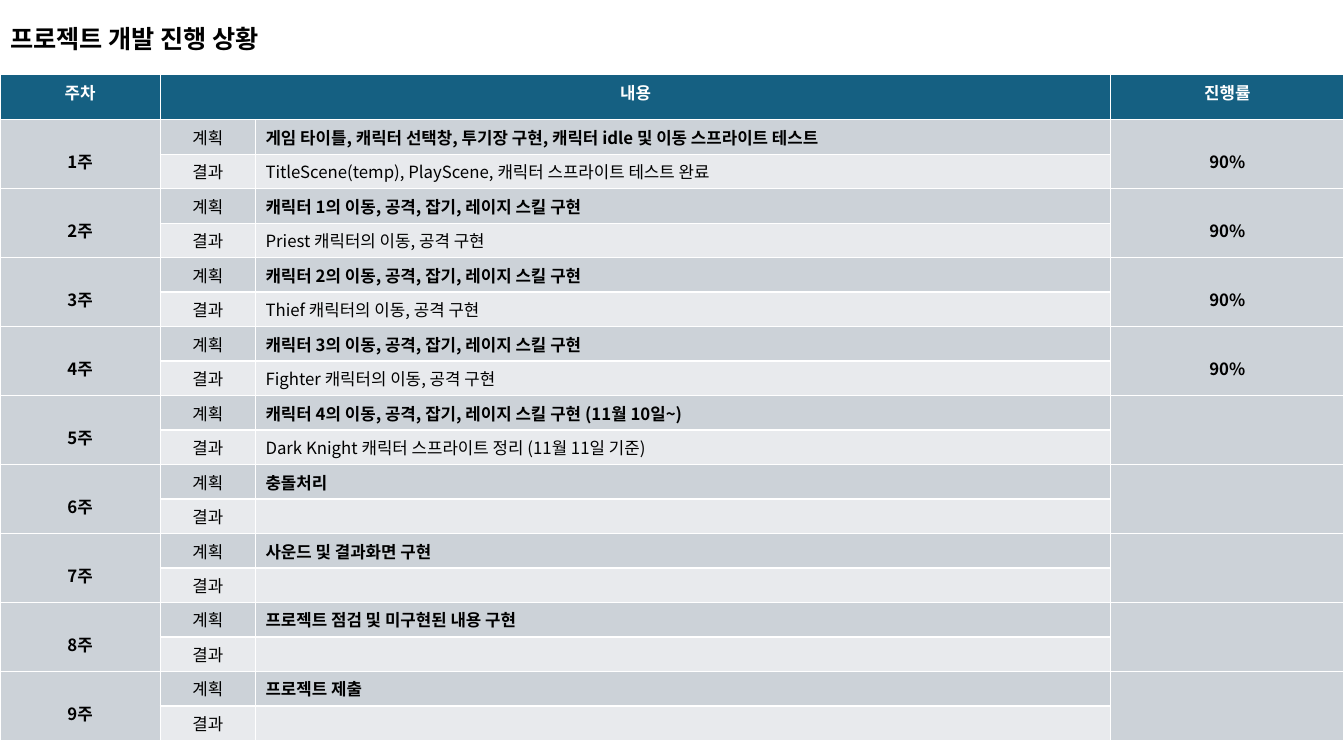
from pptx import Presentation
from pptx import util as u
from pptx.dml.color import RGBColor
from pptx.enum import text
from pptx.oxml.ns import qn
from lxml import etree

FONT = "Noto Sans CJK KR"
BLACK = RGBColor(0x00, 0x00, 0x00)
WHITE = RGBColor(0xFF, 0xFF, 0xFF)
HEADER_BLUE = RGBColor(0x15, 0x60, 0x82)
PLAN_GRAY = RGBColor(0xCC, 0xD2, 0xD8)
RESULT_GRAY = RGBColor(0xE8, 0xEA, 0xED)

SLIDE_WIDTH, SLIDE_HEIGHT = 960, 540
COLUMN_WIDTHS = [114.5, 68, 611, 166.5]
HEADER_HEIGHT, ROW_HEIGHT = 32, 24.5
MERGED_TOP_MARGIN = 14
BODY_SIZE = 12

# Plan, result and progress of each week
WEEKS = [
    ("게임 타이틀, 캐릭터 선택창, 투기장 구현, 캐릭터 idle 및 이동 스프라이트 테스트",
     "TitleScene(temp), PlayScene, 캐릭터 스프라이트 테스트 완료", "90%"),
    ("캐릭터 1의 이동, 공격, 잡기, 레이지 스킬 구현", "Priest 캐릭터의 이동, 공격 구현", "90%"),
    ("캐릭터 2의 이동, 공격, 잡기, 레이지 스킬 구현", "Thief 캐릭터의 이동, 공격 구현", "90%"),
    ("캐릭터 3의 이동, 공격, 잡기, 레이지 스킬 구현", "Fighter 캐릭터의 이동, 공격 구현", "90%"),
    ("캐릭터 4의 이동, 공격, 잡기, 레이지 스킬 구현 (11월 10일~)",
     "Dark Knight 캐릭터 스프라이트 정리 (11월 11일 기준)", ""),
    ("충돌처리", "", ""),
    ("사운드 및 결과화면 구현", "", ""),
    ("프로젝트 점검 및 미구현된 내용 구현", "", ""),
    ("프로젝트 제출", "", ""),
]


def format_runs(paragraph, size, color, bold):
    for run in paragraph.runs:
        font = run.font
        font.name, font.size, font.bold = FONT, u.Pt(size), bold
        font.color.rgb = color
        # Hangul takes the East Asian typeface
        east_asian = etree.SubElement(run._r.get_or_add_rPr(), qn("a:ea"))
        east_asian.set("typeface", FONT)


def fill_cell(cell, content, fill, color=BLACK, bold=False, centered=True):
    cell.fill.solid()
    cell.fill.fore_color.rgb = fill
    paragraph = cell.text_frame.paragraphs[0]
    paragraph.text = content
    paragraph.alignment = text.PP_ALIGN.CENTER if centered else text.PP_ALIGN.LEFT
    format_runs(paragraph, BODY_SIZE, color, bold)
    # Keeps empty cells as low as filled ones
    end_properties = etree.SubElement(paragraph._p, qn("a:endParaRPr"))
    end_properties.set("sz", str(BODY_SIZE * 100))


def add_title(slide, left, top, width, height):
    title = slide.shapes.title
    title.left, title.top = u.Pt(left), u.Pt(top)
    title.width, title.height = u.Pt(width), u.Pt(height)
    frame = title.text_frame
    frame.text = "프로젝트 개발 진행 상황"
    frame.auto_size = text.MSO_AUTO_SIZE.NONE
    frame.vertical_anchor = text.MSO_ANCHOR.MIDDLE
    paragraph = frame.paragraphs[0]
    paragraph.alignment = text.PP_ALIGN.LEFT
    paragraph.line_spacing = 0.9
    format_runs(paragraph, 18, BLACK, True)


def add_week(table, week, plan, result, progress):
    plan_row = 2 * week - 1
    result_row = plan_row + 1
    # Week and progress span both rows
    for column, content in ((0, f"{week}주"), (3, progress)):
        cell = table.cell(plan_row, column)
        fill_cell(table.cell(result_row, column), "", PLAN_GRAY)
        cell.merge(table.cell(result_row, column))
        fill_cell(cell, content, PLAN_GRAY, bold=True)
        cell.vertical_anchor = text.MSO_ANCHOR.MIDDLE
        cell.margin_top = u.Pt(MERGED_TOP_MARGIN)
    # Plan above result
    for row, label, content, fill in ((plan_row, "계획", plan, PLAN_GRAY),
                                      (result_row, "결과", result, RESULT_GRAY)):
        fill_cell(table.cell(row, 1), label, fill)
        fill_cell(table.cell(row, 2), content, fill, bold=row == plan_row, centered=False)


def add_schedule(slide, left, top, width):
    row_count = 1 + 2 * len(WEEKS)
    height = HEADER_HEIGHT + (row_count - 1) * ROW_HEIGHT
    table = slide.shapes.add_table(row_count, len(COLUMN_WIDTHS), u.Pt(left), u.Pt(top),
                                   u.Pt(width), u.Pt(height)).table
    for column, column_width in zip(table.columns, COLUMN_WIDTHS):
        column.width = u.Pt(column_width)
    for index, row in enumerate(table.rows):
        row.height = u.Pt(ROW_HEIGHT if index else HEADER_HEIGHT)

    # Header row
    for column, heading in enumerate(("주차", "내용", "", "진행률")):
        fill_cell(table.cell(0, column), heading, HEADER_BLUE, WHITE, bold=True)
    table.cell(0, 1).merge(table.cell(0, 2))

    # Weekly rows
    for week, (plan, result, progress) in enumerate(WEEKS, start=1):
        add_week(table, week, plan, result, progress)


def main():
    presentation = Presentation()
    presentation.slide_width = u.Pt(SLIDE_WIDTH)
    presentation.slide_height = u.Pt(SLIDE_HEIGHT)
    slide = presentation.slides.add_slide(presentation.slide_layouts.get_by_name("Title Only"))
    add_title(slide, 0, 13.5, 828, 31)
    add_schedule(slide, 0, 53.5, SLIDE_WIDTH)
    presentation.save("out.pptx")


if __name__ == "__main__":
    main()
